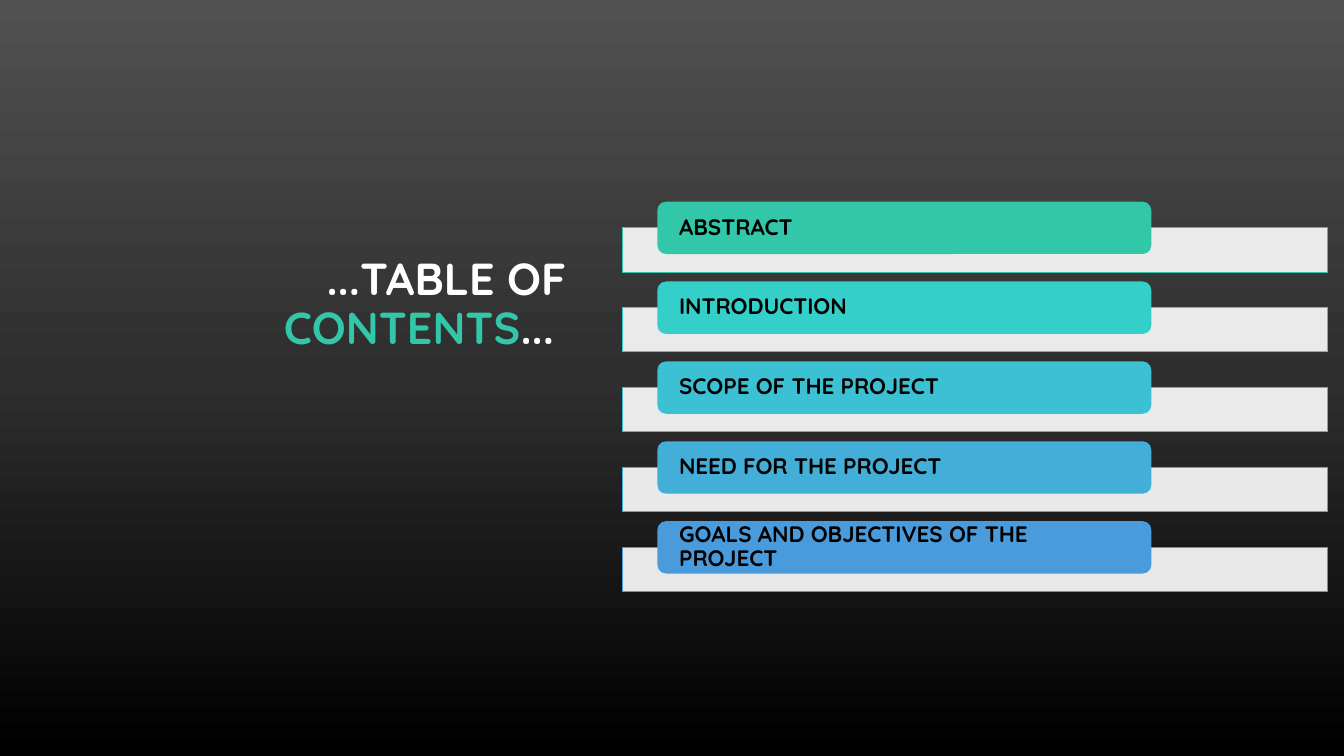
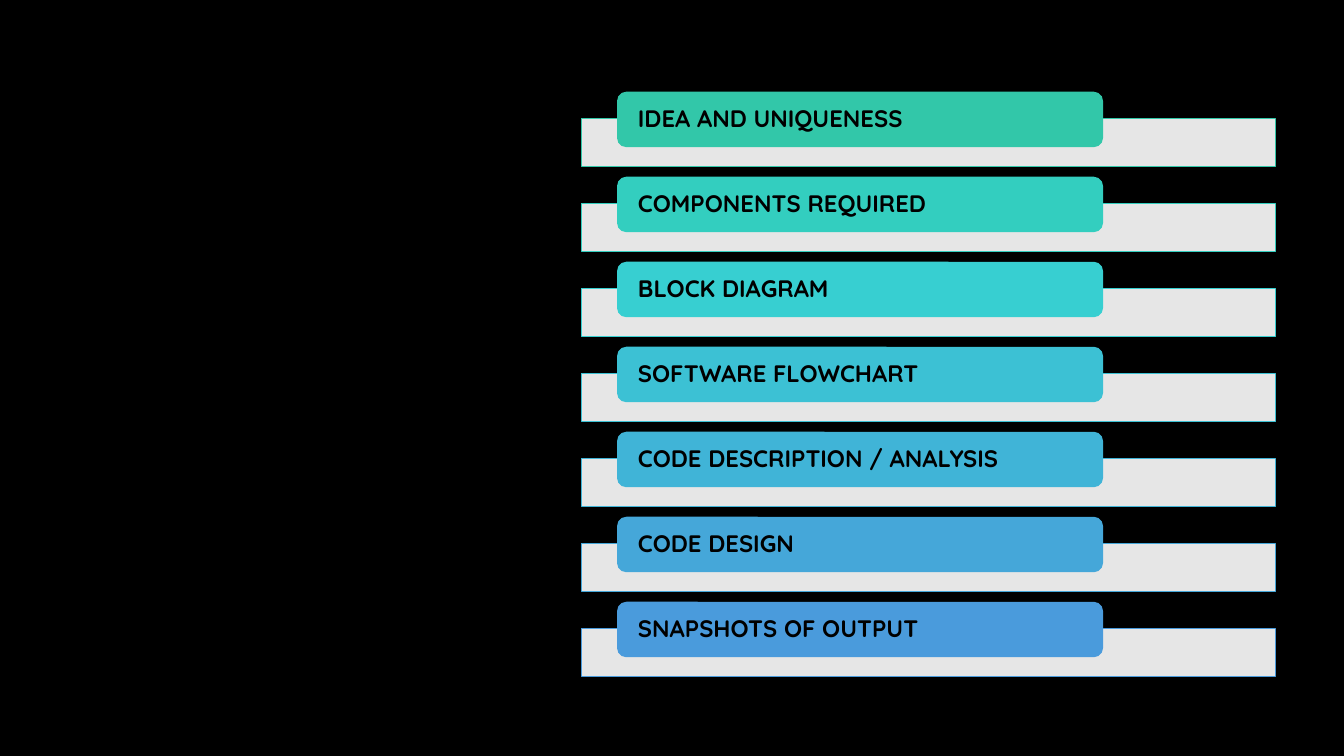
import copy

import pptx
import pptx.dml.color
import pptx.enum.shapes
import pptx.enum.text
import pptx.oxml.ns
import pptx.util
from lxml import etree

Inches = pptx.util.Inches
Pt = pptx.util.Pt
qn = pptx.oxml.ns.qn
Shape = pptx.enum.shapes.MSO_SHAPE
Align = pptx.enum.text.PP_ALIGN
Anchor = pptx.enum.text.MSO_ANCHOR

# Shared style
FONT = "Quicksand"
WHITE, BLACK, GREEN = "FFFFFF", "000000", "32C7A9"
BAR_OPACITY = 90
LINE_SPACING = 0.9
TITLE_ONLY, BLANK = 5, 6

# Content
TITLE = [("...TABLE OF", WHITE), (" CONTENTS", GREEN), ("... ", WHITE)]
BACKDROP = [(0, "515151"), (0.5, "2E2E2E"), (1, BLACK)]

FIRST_TOPICS = [
    ("ABSTRACT", GREEN),
    ("INTRODUCTION", "35CFC9"),
    ("SCOPE OF THE PROJECT", "3CC1D4"),
    ("NEED FOR THE PROJECT", "43AED8"),
    ("GOALS AND OBJECTIVES OF THE PROJECT", "4A9BDC"),
]
FIRST_LAYOUT = dict(left=6.17, bar_width=7, bar_height=0.44, bar_drop=0.26,
                    tab_width=4.9, tab_height=0.52, top=2, last_top=5.17,
                    inset=0.19, size=16)

SECOND_TOPICS = [
    ("IDEA AND UNIQUENESS", GREEN),
    ("COMPONENTS REQUIRED", "33CEBF"),
    ("BLOCK DIAGRAM", "37CFD1"),
    ("SOFTWARE FLOWCHART", "3CC1D4"),
    ("CODE DESCRIPTION / ANALYSIS", "40B4D7"),
    ("CODE DESIGN", "45A7D9"),
    ("SNAPSHOTS OF OUTPUT", "4A9BDC"),
]
SECOND_LAYOUT = dict(left=5.77, bar_width=6.88, bar_height=0.47, bar_drop=0.27,
                     tab_width=4.82, tab_height=0.55, top=0.91, last_top=5.97,
                     inset=0.18, size=17)
TAB_INDENT = 0.35


def color(value):
    return pptx.dml.color.RGBColor.from_string(value)


def add_span(para, text, size, ink):
    span = para.add_run()
    span.text = text
    span.font.name = FONT
    span.font.size = Pt(size)
    span.font.bold = True
    span.font.color.rgb = color(ink)


def add_box(page, kind, left, top, width, height, fill):
    box = page.shapes.add_shape(kind, Inches(left), Inches(top),
                                Inches(width), Inches(height))
    box.shadow.inherit = False
    box.fill.solid()
    box.fill.fore_color.rgb = color(fill)
    return box


def add_bar(page, left, top, width, height, outline):
    bar = add_box(page, Shape.RECTANGLE, left, top, width, height, WHITE)
    fill_color = bar.element.spPr.find(qn("a:solidFill"))[0]
    etree.SubElement(fill_color, qn("a:alpha"), val=str(BAR_OPACITY * 1000))
    bar.line.color.rgb = color(outline)
    bar.line.width = Pt(0.75)


def add_tab(page, left, top, width, height, fill, text, inset, size):
    tab = add_box(page, Shape.ROUNDED_RECTANGLE, left, top, width, height, fill)
    tab.line.fill.background()
    frame = tab.text_frame
    frame.word_wrap = True
    frame.vertical_anchor = Anchor.MIDDLE
    frame.margin_left = frame.margin_right = Inches(inset)
    frame.margin_top = frame.margin_bottom = 0
    para = frame.paragraphs[0]
    para.alignment = Align.LEFT
    para.line_spacing = LINE_SPACING
    add_span(para, text, size, BLACK)


def add_topics(page, topics, layout):
    """Stack evenly spaced tabs, each over its own pale bar."""
    pitch = (layout["last_top"] - layout["top"]) / (len(topics) - 1)
    for index, (text, accent) in enumerate(topics):
        top = layout["top"] + index * pitch
        add_bar(page, layout["left"], top + layout["bar_drop"],
                layout["bar_width"], layout["bar_height"], accent)
        add_tab(page, layout["left"] + TAB_INDENT, top, layout["tab_width"],
                layout["tab_height"], accent, text, layout["inset"], layout["size"])


def set_gradient(page, stops):
    fill = page.background.fill
    fill.gradient()
    fill.gradient_angle = 270
    stop_list = page.element.find(".//" + qn("a:gsLst"))
    while len(stop_list) < len(stops):
        stop_list.insert(1, copy.deepcopy(stop_list[0]))
    for stop, (position, shade) in zip(fill.gradient_stops, stops):
        stop.position = position
        stop.color.rgb = color(shade)


def set_title(page):
    title = page.shapes.title
    title.left, title.top = Inches(0.27), Inches(1.78)
    title.width, title.height = Inches(5.45), Inches(2.5)
    frame = title.text_frame
    frame.word_wrap = True
    frame.vertical_anchor = Anchor.MIDDLE
    frame.margin_left = Inches(0.3)
    para = frame.paragraphs[0]
    para.alignment = Align.RIGHT
    para.line_spacing = LINE_SPACING
    for text, ink in TITLE:
        add_span(para, text, 32, ink)


def main():
    deck = pptx.Presentation()
    deck.slide_width, deck.slide_height = Inches(13.33), Inches(7.5)

    # Contents, first part
    page = deck.slides.add_slide(deck.slide_layouts[TITLE_ONLY])
    set_gradient(page, BACKDROP)
    set_title(page)
    add_topics(page, FIRST_TOPICS, FIRST_LAYOUT)

    # Contents, second part
    page = deck.slides.add_slide(deck.slide_layouts[BLANK])
    page.background.fill.solid()
    page.background.fill.fore_color.rgb = color(BLACK)
    add_topics(page, SECOND_TOPICS, SECOND_LAYOUT)

    deck.save("out.pptx")


if __name__ == "__main__":
    main()
